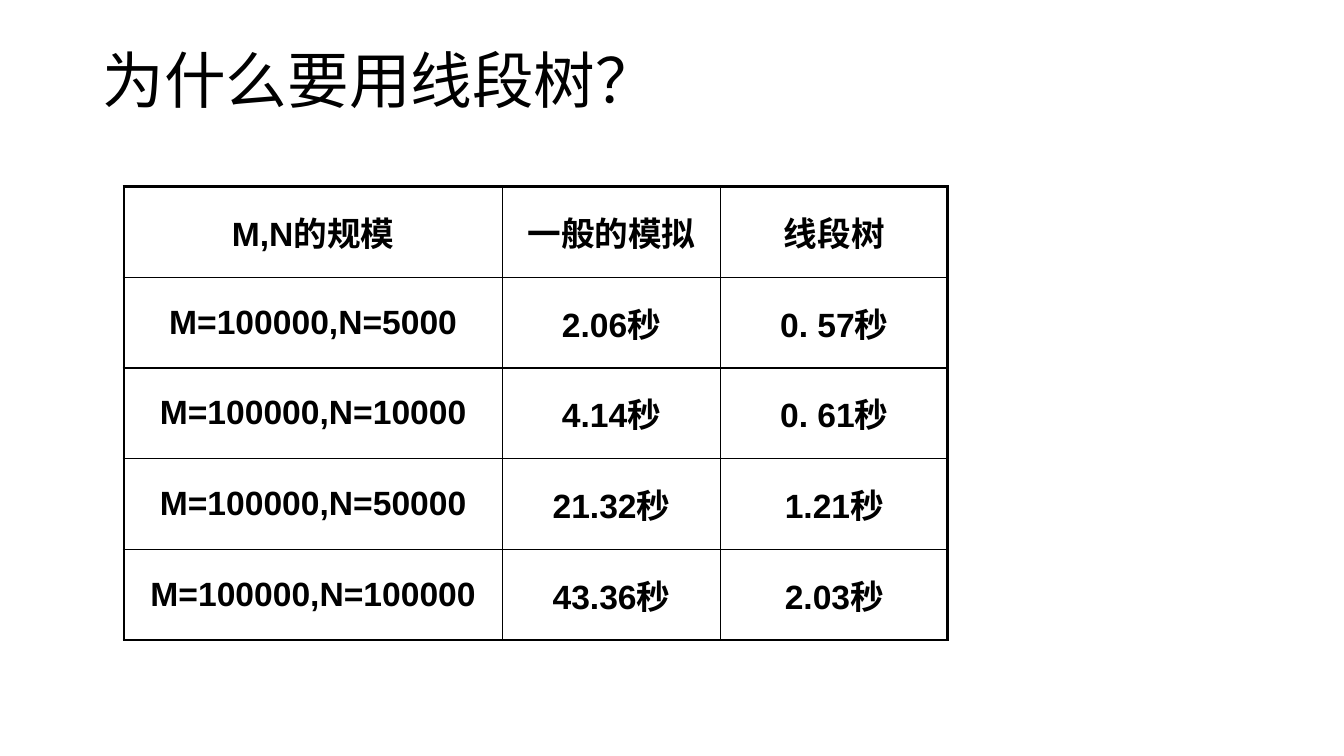
from lxml.etree import SubElement
from pptx import Presentation
from pptx.dml.color import RGBColor as RGB
from pptx.enum.text import MSO_ANCHOR as Anchor, PP_ALIGN as Align
from pptx.oxml.ns import qn
from pptx.util import Inches, Pt

# Content
TITLE = "为什么要用线段树？"
ROWS = [
    ("M,N的规模", "一般的模拟", "线段树"),
    ("M=100000,N=5000", "2.06秒", "0. 57秒"),
    ("M=100000,N=10000", "4.14秒", "0. 61秒"),
    ("M=100000,N=50000", "21.32秒", "1.21秒"),
    ("M=100000,N=100000", "43.36秒", "2.03秒"),
]
COLS = (3.75, 2.17, 2.25)
ROW_H = 0.9

# Theme
THEME = {
    "ink": "000000",
    "title": ("Calibri", 44, False),
    "cell": ("Arial", 24, True),
    "outer": 2.25,
    "inner": 1,
}


def add_run(para, text, style):
    run = para.add_run()
    run.text = text
    font = run.font
    font.name, size, font.bold = THEME[style]
    font.size = Pt(size)
    font.color.rgb = RGB.from_string(THEME["ink"])


def add_edges(cell, edges):
    """Draw cell borders; each edge is a side and whether it is outer."""
    props = cell._tc.get_or_add_tcPr()
    for spot, (side, outer) in enumerate(edges):
        width = Pt(THEME["outer" if outer else "inner"])
        line = SubElement(props, qn(f"a:ln{side}"), w=str(width))
        fill = SubElement(line, qn("a:solidFill"))
        SubElement(fill, qn("a:srgbClr"), val=THEME["ink"])
        props.insert(spot, line)


deck = Presentation()
deck.slide_width, deck.slide_height = Inches(13.33), Inches(7.5)
slide = deck.slides.add_slide(deck.slide_layouts[6])

# Title
box = slide.shapes.add_textbox(Inches(0.92), Inches(0.4), Inches(11.5), Inches(1.45))
frame = box.text_frame
frame.word_wrap = True
frame.margin_left = frame.margin_right = Inches(0.1)
frame.margin_top = frame.margin_bottom = Inches(0.1)
para = frame.paragraphs[0]
para.line_spacing = 0.9
add_run(para, TITLE, "title")

# Table
table = slide.shapes.add_table(
    len(ROWS), len(COLS), Inches(1.23), Inches(1.85),
    Inches(sum(COLS)), Inches(ROW_H * len(ROWS))).table
table.first_row = table.horz_banding = False
for col, width in zip(table.columns, COLS):
    col.width = Inches(width)

# Cells
last_row, last_col = len(ROWS) - 1, len(COLS) - 1
for r, row in enumerate(ROWS):
    table.rows[r].height = Inches(ROW_H)
    for c, text in enumerate(row):
        cell = table.cell(r, c)
        cell.fill.background()
        cell.vertical_anchor = Anchor.MIDDLE
        para = cell.text_frame.paragraphs[0]
        para.alignment = Align.CENTER
        add_run(para, text, "cell")
        add_edges(cell, [("L", c == 0), ("R", c == last_col),
                         ("T", r == 0), ("B", r == last_row)])

deck.save("out.pptx")
